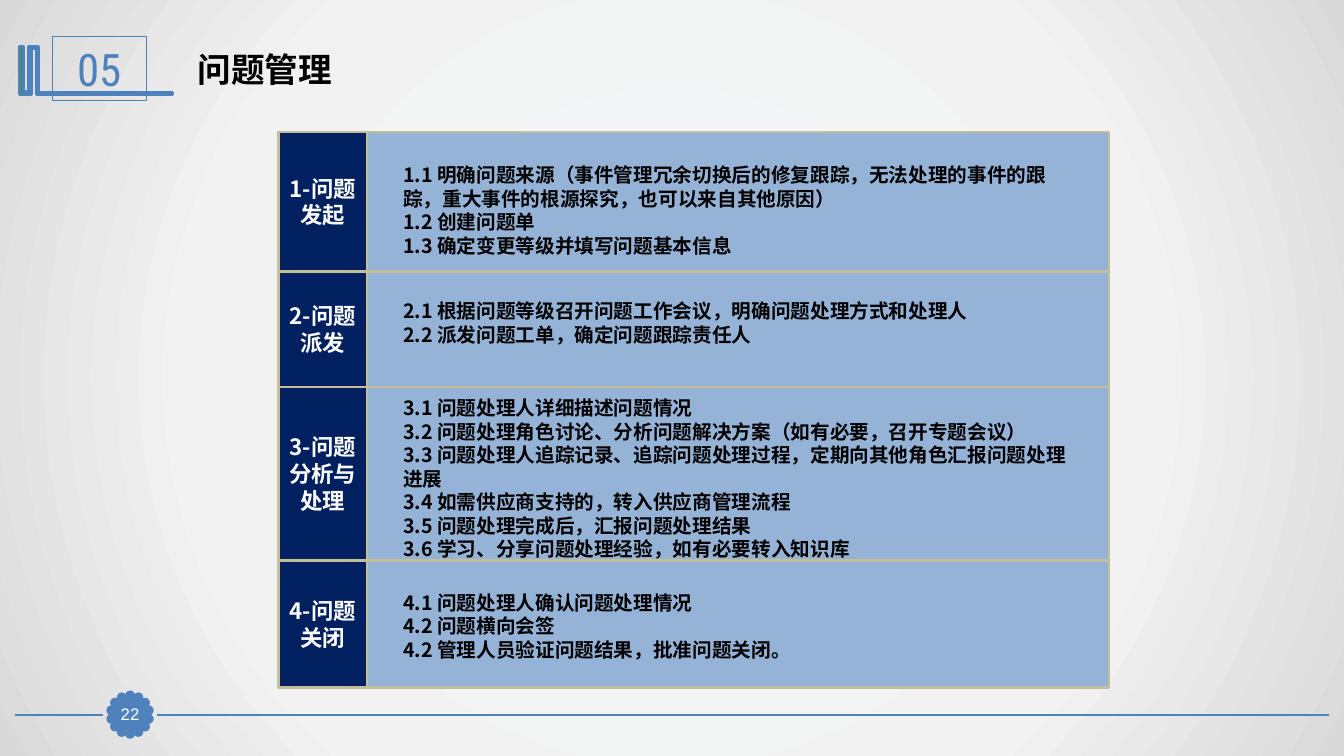
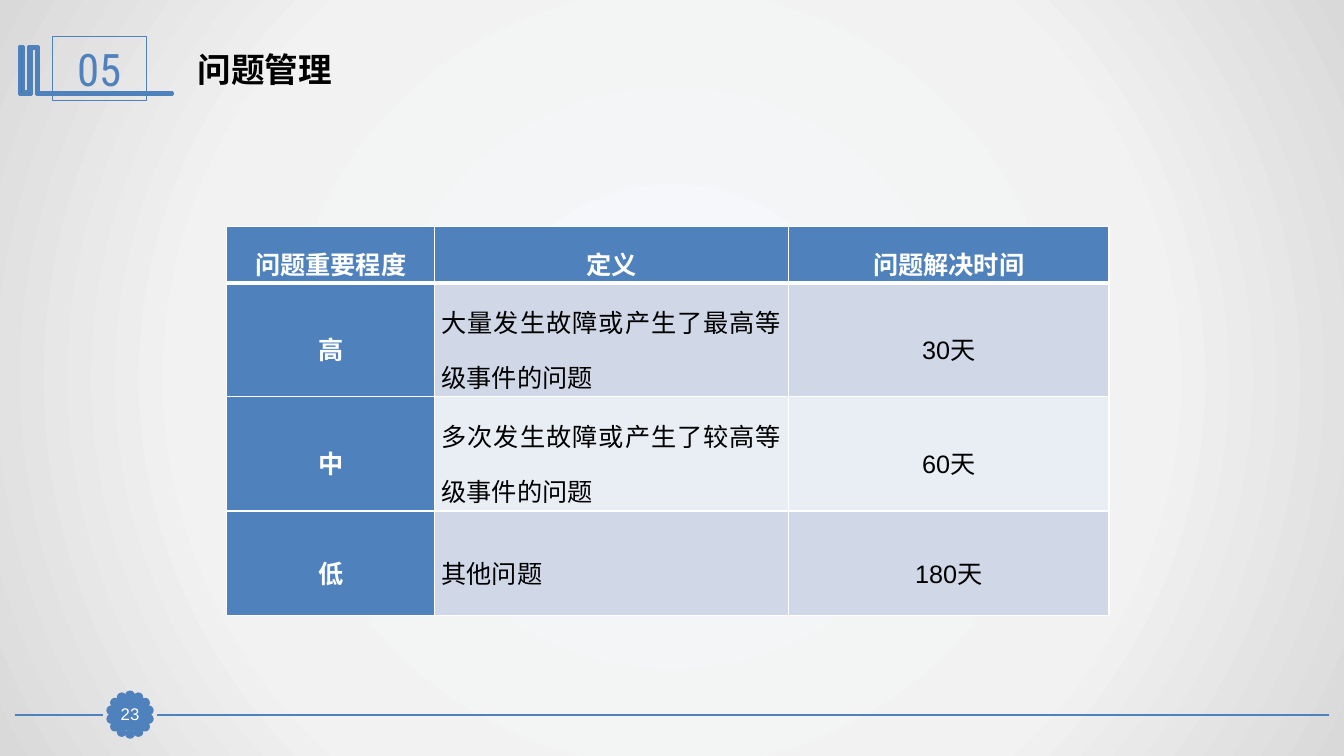
from math import cos, pi, sin

from lxml.etree import SubElement
from pptx import Presentation
from pptx.dml.color import RGBColor
from pptx.enum.shapes import MSO_CONNECTOR as Connector, MSO_SHAPE as Shape
from pptx.enum.text import MSO_ANCHOR as Anchor, PP_ALIGN as Align
from pptx.oxml import parse_xml
from pptx.oxml.ns import nsdecls, qn
from pptx.util import Inches, Pt

BLUE = "4F81BD"
GREEN = "339933"
NAVY = "002060"
PALE_BLUE = "95B3D7"
SAND = "C4BD97"
WHITE = "FFFFFF"
BLACK = "000000"
BAND_FILLS = ["D0D8E8", "E9EDF4"]
BACKGROUND_STOPS = [(0, "F6F9FC"), (63, "F2F2F2"), (100, "D9D9D9")]
CJK_FONT = "Noto Sans CJK SC"

EMBLEM_POINTS = [
    (37, 46), (38, 46), (38, 92), (171, 92), (171, 94), (36, 94),
    (36, 48), (31, 48), (31, 94), (19, 94), (19, 46), (23, 46),
    (23, 91), (28, 91), (28, 46),
]

STEPS = [
    ("1-问题发起", 1.38, 0.26, 6.61, [
        "1.1 明确问题来源（事件管理冗余切换后的修复跟踪，无法处理的事件的跟踪，重大事件的根源探究，也可以来自其他原因）",
        "1.2 创建问题单",
        "1.3 确定变更等级并填写问题基本信息",
    ]),
    ("2-问题派发", 1.15, 0.23, 6.61, [
        "2.1 根据问题等级召开问题工作会议，明确问题处理方式和处理人",
        "2.2 派发问题工单，确定问题跟踪责任人",
    ]),
    ("3-问题分析与处理", 1.72, 0.04, 6.92, [
        "3.1 问题处理人详细描述问题情况",
        "3.2 问题处理角色讨论、分析问题解决方案（如有必要，召开专题会议）",
        "3.3 问题处理人追踪记录、追踪问题处理过程，定期向其他角色汇报问题处理进展",
        "3.4 如需供应商支持的，转入供应商管理流程",
        "3.5 问题处理完成后，汇报问题处理结果",
        "3.6 学习、分享问题处理经验，如有必要转入知识库",
    ]),
    ("4-问题关闭", 1.26, 0.25, 6.61, [
        "4.1 问题处理人确认问题处理情况",
        "4.2 问题横向会签",
        "4.2 管理人员验证问题结果，批准问题关闭。",
    ]),
]

LEVELS = [
    ["问题重要程度", "定义", "问题解决时间"],
    ["高", "大量发生故障或产生了最高等级事件的问题", "30天"],
    ["中", "多次发生故障或产生了较高等级事件的问题", "60天"],
    ["低", "其他问题", "180天"],
]


def color(value):
    return RGBColor.from_string(value)


def write(frame, lines, size=18, font="Arial", ink=BLACK, bold=False,
          align=Align.LEFT, spacing=None, before=0, after=0):
    for index, line in enumerate(lines):
        para = frame.paragraphs[0] if index == 0 else frame.add_paragraph()
        para.alignment = align
        para.line_spacing = spacing
        para.space_before = Pt(before)
        para.space_after = Pt(after)
        span = para.add_run()
        span.text = line
        span.font.size = Pt(size)
        span.font.name = font
        span.font.bold = bold
        span.font.color.rgb = color(ink)
        SubElement(span.font._element, qn("a:ea"), typeface=CJK_FONT)


def style(shape, fill, line, width):
    shape.shadow.inherit = False
    if fill:
        shape.fill.solid()
        shape.fill.fore_color.rgb = color(fill)
    else:
        shape.fill.background()
    shape.line.color.rgb = color(line)
    shape.line.width = Pt(width)


def add_block(page, left, top, width, height, fill=None, line=BLUE,
              weight=0.75, kind=Shape.RECTANGLE, lines=(), inset=0.1, **text_format):
    block = page.shapes.add_shape(
        kind, Inches(left), Inches(top), Inches(width), Inches(height))
    style(block, fill, line, weight)
    frame = block.text_frame
    frame.word_wrap = True
    frame.vertical_anchor = Anchor.MIDDLE
    frame.margin_left = frame.margin_right = Inches(inset)
    frame.margin_top = frame.margin_bottom = Inches(inset / 2)
    write(frame, lines, align=Align.CENTER, **text_format)


def add_text(page, left, top, width, height, lines, **text_format):
    box = page.shapes.add_textbox(
        Inches(left), Inches(top), Inches(width), Inches(height))
    box.text_frame.word_wrap = True
    write(box.text_frame, lines, **text_format)


def add_rule(page, start, end, y):
    rule = page.shapes.add_connector(
        Connector.STRAIGHT, Inches(start), Inches(y), Inches(end), Inches(y))
    rule.line.color.rgb = color(BLUE)
    rule.line.width = Pt(1.25)
    SubElement(rule._element.spPr, qn("a:effectLst"))


def set_background(page):
    stops = "".join(
        f'<a:gs pos="{position * 1000}"><a:srgbClr val="{value}"/></a:gs>'
        for position, value in BACKGROUND_STOPS)
    page.element.cSld.insert(0, parse_xml(
        f'<p:bg {nsdecls("p", "a")}><p:bgPr><a:gradFill rotWithShape="1">'
        f'<a:gsLst>{stops}</a:gsLst><a:path path="circle">'
        '<a:fillToRect l="50000" t="50000" r="50000" b="50000"/></a:path>'
        '</a:gradFill><a:effectLst/></p:bgPr></p:bg>'))


def add_emblem(page):
    builder = page.shapes.build_freeform(*EMBLEM_POINTS[0], scale=Inches(0.01))
    builder.add_line_segments(EMBLEM_POINTS[1:], close=True)
    style(builder.convert_to_shape(), GREEN, BLUE, 2)
    add_block(page, 0.52, 0.36, 0.93, 0.64, lines=["05"], size=32,
              font="Roboto Condensed", ink=BLUE)


def add_badge(page, number):
    center_x, center_y, radius, dot, dots = 1.29, 7.09, 0.19, 0.07, 14
    for index in range(dots):
        angle = 2 * pi * index / dots
        add_block(page, center_x + radius * sin(angle) - dot / 2,
                  center_y - radius * cos(angle) - dot / 2, dot, dot,
                  fill=BLUE, weight=2, kind=Shape.OVAL)
    add_block(page, 1.13, 6.93, 0.32, 0.31, fill=BLUE, lines=[str(number)],
              inset=0, size=12, ink=WHITE)


def add_page(deck, title, number):
    page = deck.slides.add_slide(deck.slide_layouts[6])
    set_background(page)
    add_rule(page, 0.15, 1.02, 7.09)
    add_rule(page, 1.56, 13.18, 7.09)
    add_emblem(page)
    add_badge(page, number)
    add_text(page, 1.86, 0.44, 9.69, 0.5, [title], size=24, bold=True)
    return page


def add_steps(page):
    left, top = 2.76, 1.31
    for label, height, offset, width, lines in STEPS:
        add_block(page, left, top, 8.24, height, fill=PALE_BLUE, line=SAND, weight=2)
        add_block(page, left, top, 0.88, height, fill=NAVY, line=SAND, weight=2,
                  lines=[label], size=16, font=CJK_FONT, ink=WHITE, bold=True)
        add_text(page, 3.9, top + offset, width, height - offset, lines,
                 size=14, font=CJK_FONT, bold=True)
        top += height


def set_borders(cell, **widths):
    properties = cell._tc.get_or_add_tcPr()
    for side in "LRTB":
        line = SubElement(properties, qn(f"a:ln{side}"),
                          w=str(Pt(widths.get(side, 1))))
        fill = SubElement(line, qn("a:solidFill"))
        SubElement(fill, qn("a:srgbClr"), val=WHITE)


def fill_cell(cell, text, row, column):
    heading = row == 0 or column == 0
    set_borders(cell, **{0: {"B": 3}, 1: {"T": 3}}.get(row, {}))
    cell.fill.solid()
    cell.fill.fore_color.rgb = color(BLUE if heading else BAND_FILLS[(row - 1) % 2])
    cell.margin_left = cell.margin_right = Inches(0.07)
    cell.margin_top = cell.margin_bottom = 0
    cell.vertical_anchor = Anchor.TOP if row == 0 else Anchor.MIDDLE
    justified = column == 1 and not heading
    write(cell.text_frame, [text], ink=WHITE if heading else BLACK, bold=heading,
          align=Align.JUSTIFY if justified else Align.CENTER,
          spacing=1.5, before=2, after=4)


def add_levels(page):
    widths, heights = [2.06, 3.51, 3.18], [0.56, 1.12, 1.14, 1.04]
    table = page.shapes.add_table(
        len(heights), len(widths), Inches(2.25), Inches(2.25),
        Inches(sum(widths)), Inches(sum(heights))).table
    table.horz_banding = False
    for column, width in zip(table.columns, widths):
        column.width = Inches(width)
    for row, height in zip(table.rows, heights):
        row.height = Inches(height)
    for row, texts in enumerate(LEVELS):
        for column, text in enumerate(texts):
            fill_cell(table.cell(row, column), text, row, column)


def main():
    deck = Presentation()
    deck.slide_width = Inches(13.33)
    deck.slide_height = Inches(7.5)
    for number, add_content in enumerate([add_steps, add_levels], start=22):
        add_content(add_page(deck, "问题管理", number))
    deck.save("out.pptx")


if __name__ == "__main__":
    main()
